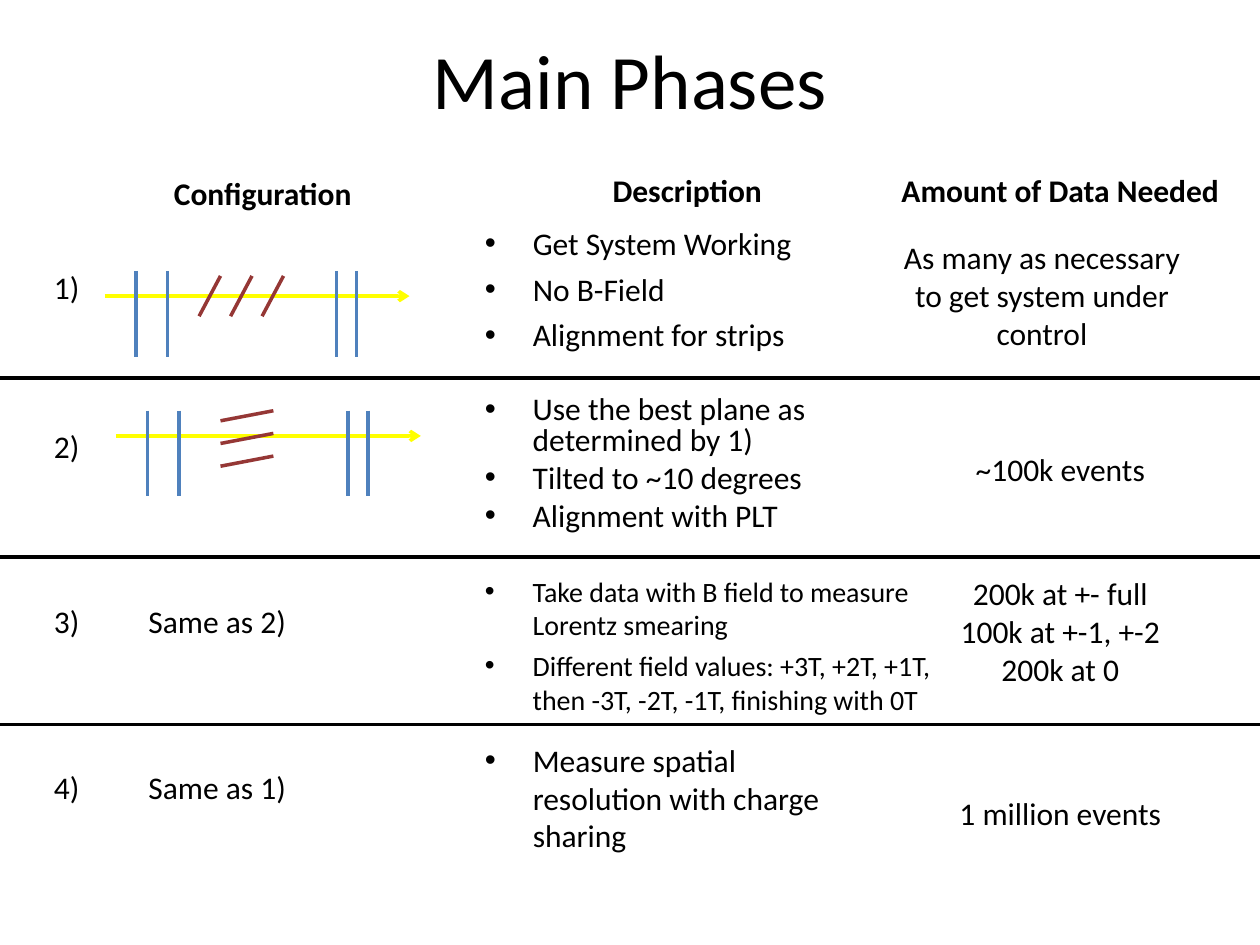
from dataclasses import dataclass
from typing import Any

import lxml.etree
import pptx
import pptx.dml.color
import pptx.enum.shapes
import pptx.enum.text
import pptx.oxml.ns
import pptx.util

PX = 9144  # EMU; 100 px to the inch
FONT = "Calibri"
BLACK = pptx.dml.color.RGBColor(0x00, 0x00, 0x00)
BEAM_YELLOW = pptx.dml.color.RGBColor(0xFF, 0xFF, 0x00)
STRIP_BLUE = pptx.dml.color.RGBColor(0x4F, 0x81, 0xBD)
PLANE_RED = pptx.dml.color.RGBColor(0x95, 0x37, 0x35)
LEFT = pptx.enum.text.PP_ALIGN.LEFT
CENTER = pptx.enum.text.PP_ALIGN.CENTER
TOP = pptx.enum.text.MSO_ANCHOR.TOP
MIDDLE = pptx.enum.text.MSO_ANCHOR.MIDDLE

SLIDE_WIDTH, SLIDE_HEIGHT = 1000, 750
LINE_HEIGHT = 40
NUMBER_LEFT, NUMBER_WIDTH = 33, 83
SAME_LEFT, SAME_WIDTH = 108, 217
DESCRIPTION_LEFT, DESCRIPTION_HEIGHT = 375, 124
DATA_LEFT, COLUMN_WIDTH = 704, 275
INDENT = 38

BEAM_LENGTH = 242
STRIP_OFFSETS = (25, 50, 184, 200)
STRIP_ABOVE, STRIP_BELOW = 20, 48


@dataclass(frozen=True)
class Heading:
    text: str
    left: int
    top: int


@dataclass(frozen=True)
class Detector:
    """Beam start, then the first tilted plane, its run, and the step to the next."""
    beam_x: int
    beam_y: int
    plane_x: int
    plane_y: int
    run_x: int
    run_y: int
    step_x: int
    step_y: int


@dataclass(frozen=True)
class Phase:
    number_top: int
    configuration: Detector | str
    description: tuple[str, ...]
    description_top: int
    description_width: int
    data: tuple[str, ...]
    data_top: int
    data_width: int = COLUMN_WIDTH
    size: int = 18
    line_spacing: float = 1.0


HEADINGS = (
    Heading("Configuration", 71, 133),
    Heading("Description", 408, 131),
    Heading("Amount of Data Needed", DATA_LEFT, 131),
)
DIVIDERS = (300, 442, 575)
PHASES = (
    Phase(208, Detector(83, 235, 158, 251, 17, -32, 25, 0),
          ("Get System Working", "No B-Field", "Alignment for strips"), 173, 308,
          ("As many as necessary to get system under control",), 184, data_width=246),
    Phase(334, Detector(92, 346, 175, 334, 42, -8, 0, 18),
          ("Use the best plane as determined by 1)", "Tilted to ~10 degrees",
           "Alignment with PLT"), 310, 367,
          ("~100k events",), 352, line_spacing=0.8),
    Phase(473, "Same as 2)",
          ("Take data with B field to measure Lorentz smearing",
           "Different field values: +3T, +2T, +1T, then -3T, -2T, -1T, finishing with 0T"),
          451, 383,
          ("200k at +- full", "100k at +-1, +-2", "200k at 0"), 451, size=16),
    Phase(605, "Same as 1)",
          ("Measure spatial resolution with charge sharing",), 583, 308,
          ("1 million events",), 625),
)


def add_bullet(paragraph: Any) -> None:
    properties = paragraph._p.get_or_add_pPr()
    properties.set("marL", str(INDENT * PX))
    properties.set("indent", str(-INDENT * PX))
    for tag, name, value in (("a:buFont", "typeface", "Arial"), ("a:buChar", "char", "•")):
        lxml.etree.SubElement(properties, pptx.oxml.ns.qn(tag)).set(name, value)


def add_text(slide: Any, lines: tuple[str, ...], left: int, top: int, width: int,
             height: int = LINE_HEIGHT, *, size: int = 18, bold: bool = False,
             align: Any = LEFT, anchor: Any = TOP, bulleted: bool = False,
             line_spacing: float = 1.0) -> None:
    shape = slide.shapes.add_textbox(left * PX, top * PX, width * PX, height * PX)
    frame = shape.text_frame
    frame.word_wrap = True
    frame.vertical_anchor = anchor
    for index, line in enumerate(lines):
        paragraph = frame.paragraphs[0] if index == 0 else frame.add_paragraph()
        paragraph.text = line
        paragraph.alignment = align
        paragraph.line_spacing = line_spacing
        if bulleted:
            if index > 0:
                paragraph.space_before = pptx.util.Pt(size / 4)
            add_bullet(paragraph)
        font = paragraph.font
        font.name = FONT
        font.size = pptx.util.Pt(size)
        font.bold = bold
        font.color.rgb = BLACK


def add_line(slide: Any, x1: int, y1: int, x2: int, y2: int,
             color: pptx.dml.color.RGBColor, arrow: bool = False) -> None:
    connector = slide.shapes.add_connector(
        pptx.enum.shapes.MSO_CONNECTOR.STRAIGHT, x1 * PX, y1 * PX, x2 * PX, y2 * PX)
    connector.line.color.rgb = color
    connector.line.width = pptx.util.Pt(2)
    properties = connector._element.spPr
    if arrow:
        outline = properties.find(pptx.oxml.ns.qn("a:ln"))
        lxml.etree.SubElement(outline, pptx.oxml.ns.qn("a:tailEnd")).set("type", "arrow")
    lxml.etree.SubElement(properties, pptx.oxml.ns.qn("a:effectLst"))


def add_detector(slide: Any, detector: Detector) -> None:
    x, y = detector.beam_x, detector.beam_y
    add_line(slide, x, y, x + BEAM_LENGTH, y, BEAM_YELLOW, arrow=True)
    for offset in STRIP_OFFSETS:
        add_line(slide, x + offset, y - STRIP_ABOVE, x + offset, y + STRIP_BELOW, STRIP_BLUE)
    for index in range(3):
        plane_x = detector.plane_x + index * detector.step_x
        plane_y = detector.plane_y + index * detector.step_y
        add_line(slide, plane_x, plane_y, plane_x + detector.run_x,
                 plane_y + detector.run_y, PLANE_RED)


def add_phase(slide: Any, number: int, phase: Phase) -> None:
    add_text(slide, (f"{number})",), NUMBER_LEFT, phase.number_top, NUMBER_WIDTH)
    if isinstance(phase.configuration, Detector):
        add_detector(slide, phase.configuration)
    else:
        add_text(slide, (phase.configuration,), SAME_LEFT, phase.number_top, SAME_WIDTH)
    add_text(slide, phase.description, DESCRIPTION_LEFT, phase.description_top,
             phase.description_width, DESCRIPTION_HEIGHT, size=phase.size,
             bulleted=True, line_spacing=phase.line_spacing)
    data_height = 100 if len(phase.data) > 1 or phase.data_width < COLUMN_WIDTH else LINE_HEIGHT
    add_text(slide, phase.data, DATA_LEFT, phase.data_top, phase.data_width, data_height,
             align=CENTER)


def main() -> None:
    presentation = pptx.Presentation()
    presentation.slide_width = SLIDE_WIDTH * PX
    presentation.slide_height = SLIDE_HEIGHT * PX
    slide = presentation.slides.add_slide(presentation.slide_layouts[6])
    add_text(slide, ("Main Phases",), 50, 0, 900, 125, size=44, align=CENTER, anchor=MIDDLE)
    for heading in HEADINGS:
        add_text(slide, (heading.text,), heading.left, heading.top, COLUMN_WIDTH,
                 bold=True, align=CENTER)
    for number, phase in enumerate(PHASES, start=1):
        add_phase(slide, number, phase)
    for y in DIVIDERS:
        add_line(slide, 0, y, SLIDE_WIDTH, y, BLACK)
    presentation.save("out.pptx")


if __name__ == "__main__":
    main()
